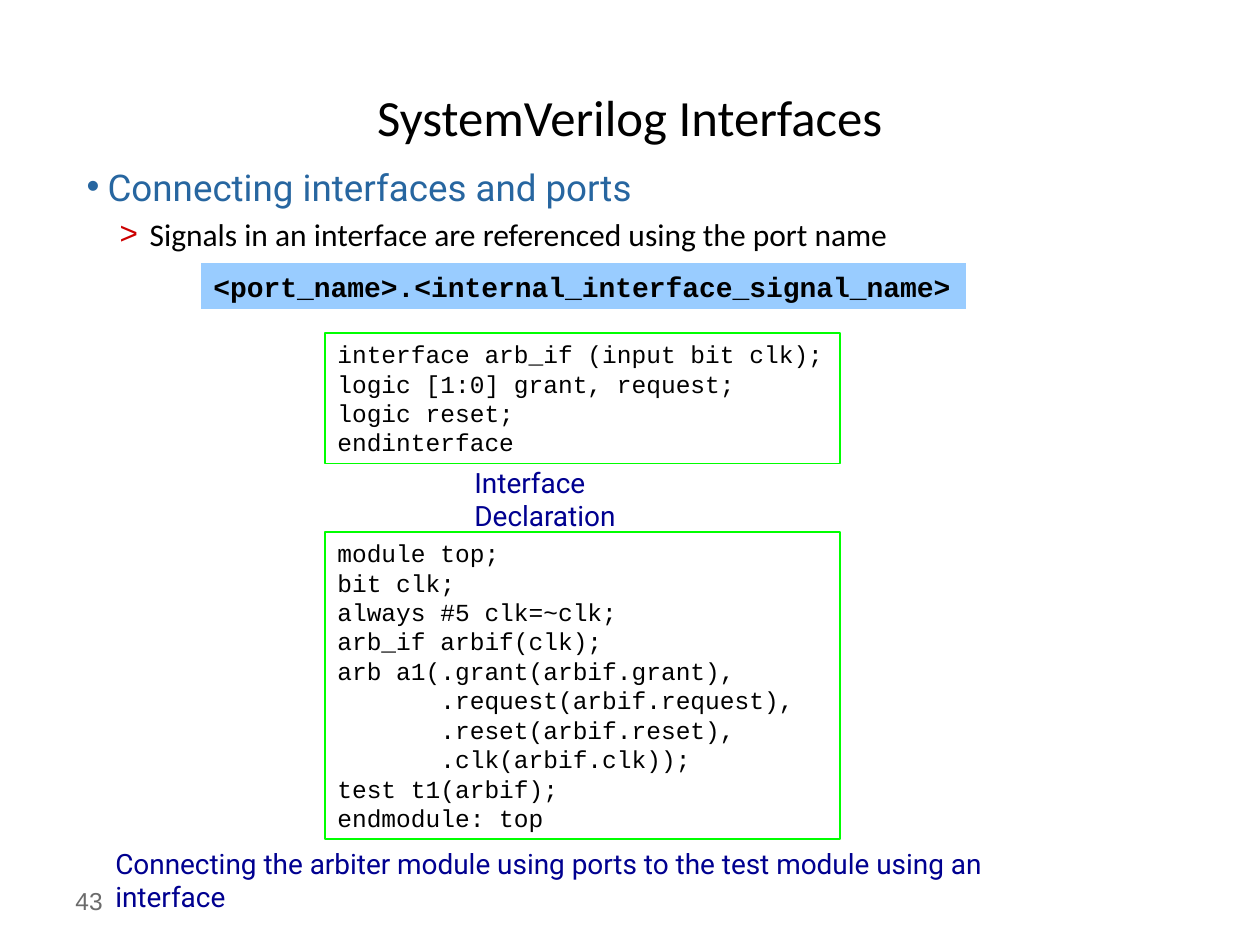
from lxml import etree
from pptx import Presentation
from pptx import util as u
from pptx.dml.color import RGBColor
from pptx.enum import shapes, text
from pptx.oxml.ns import qn

BLACK = RGBColor(0x00, 0x00, 0x00)
GREY = RGBColor(0x6B, 0x6B, 0x6B)
BLUE = RGBColor(0x27, 0x66, 0xA0)
NAVY = RGBColor(0x00, 0x00, 0x90)
RED = RGBColor(0xCC, 0x00, 0x00)
GREEN = RGBColor(0x00, 0xFF, 0x00)
SKY = RGBColor(0x99, 0xCC, 0xFF)

TITLE = "SystemVerilog Interfaces"
TITLE_AT = (63, 38, 1134, 157)
POINTS_AT = (74, 158, 916, 146)
POINTS = [
    dict(words="Connecting interfaces and ports", style="point", level=0,
         mark="•", mark_color=BLUE, margin=21, hang=21, before=0),
    dict(words="Signals in an interface are referenced using the port name",
         style="subpoint", level=1, mark=">", mark_color=RED,
         margin=63, hang=30, before=3.6),
]
DECLARATION = """interface arb_if (input bit clk);
logic [1:0] grant, request;
logic reset;
endinterface"""
TOP_MODULE = """module top;
bit clk;
always #5 clk=~clk;
arb_if arbif(clk);
arb a1(.grant(arbif.grant),
       .request(arbif.request),
       .reset(arbif.reset),
       .clk(arbif.clk));
test t1(arbif);
endmodule: top"""
LISTINGS = [(DECLARATION, 333), (TOP_MODULE, 532)]
LISTING_LEFT, LISTING_WIDTH = 325, 515
LISTING_LINE, LISTING_PAD = 29.4, 13
SYNTAX = ("<port_name>.<internal_interface_signal_name>", (201, 263, 765, 46))
LABELS = [
    ("Interface Declaration", (462, 459, 272, 47), "caption"),
    ("Connecting the arbiter module using ports to the test module using an interface",
     (103, 840, 980, 47), "caption"),
    ("43", (63, 876, 294, 50), "number"),
]
FONTS = {
    "title": dict(name="Calibri", size=u.Pt(29), color=BLACK),
    "point": dict(name="Roboto", size=u.Pt(21), color=BLUE),
    "subpoint": dict(name="Calibri", size=u.Pt(18), color=BLACK),
    "code": dict(name="Courier New", size=u.Pt(14), color=BLACK),
    "syntax": dict(name="Courier New", size=u.Pt(16), bold=True, color=BLACK),
    "caption": dict(name="Roboto", size=u.Pt(16), color=NAVY),
    "number": dict(name="Arial", size=u.Pt(14), color=GREY),
}


def px(length):
    return u.Emu(round(length * 914400 / 126))


def place(part, box):
    for side, length in zip(("left", "top", "width", "height"), box):
        setattr(part, side, px(length))


def style_font(paragraph, style):
    for key, value in FONTS[style].items():
        if key == "color":
            paragraph.font.color.rgb = value
        else:
            setattr(paragraph.font, key, value)


def write(part, words, style, align=text.PP_ALIGN.LEFT,
          anchor=text.MSO_ANCHOR.TOP, wrap=True):
    frame = part.text_frame
    frame.word_wrap = wrap
    frame.auto_size = text.MSO_AUTO_SIZE.NONE
    frame.vertical_anchor = anchor
    frame.text = words
    for paragraph in frame.paragraphs:
        paragraph.alignment = align
        style_font(paragraph, style)


def add_bullet(paragraph, point):
    props = paragraph._p.get_or_add_pPr()
    props.set("marL", str(px(point["margin"])))
    props.set("indent", str(-px(point["hang"])))
    color = etree.SubElement(props, qn("a:buClr"))
    etree.SubElement(color, qn("a:srgbClr"), val=str(point["mark_color"]))
    etree.SubElement(props, qn("a:buFont"), typeface="Arial")
    etree.SubElement(props, qn("a:buChar"), char=point["mark"])


def add_panel(slide, box, fill=None, line=None):
    panel = slide.shapes.add_shape(shapes.MSO_SHAPE.RECTANGLE, *map(px, box))
    panel.shadow.inherit = False
    if fill is None:
        panel.fill.background()
    else:
        panel.fill.solid()
        panel.fill.fore_color.rgb = fill
    if line is None:
        panel.line.fill.background()
    else:
        panel.line.color.rgb = line
        panel.line.width = u.Pt(0.75)
    return panel


def main():
    deck = Presentation()
    deck.slide_width, deck.slide_height = px(1260), px(945)
    slide = deck.slides.add_slide(deck.slide_layouts[1])
    middle = text.MSO_ANCHOR.MIDDLE

    title = slide.shapes.title
    place(title, TITLE_AT)
    write(title, TITLE, "title", text.PP_ALIGN.CENTER, middle)

    points = slide.placeholders[1]
    place(points, POINTS_AT)
    write(points, "\n".join(point["words"] for point in POINTS), "point")
    for paragraph, point in zip(points.text_frame.paragraphs, POINTS):
        paragraph.level = point["level"]
        paragraph.space_before = u.Pt(point["before"])
        add_bullet(paragraph, point)
        style_font(paragraph, point["style"])

    for code, top in LISTINGS:
        height = LISTING_LINE * len(code.splitlines()) + LISTING_PAD
        listing = add_panel(slide, (LISTING_LEFT, top, LISTING_WIDTH, height), line=GREEN)
        write(listing, code, "code")
        for paragraph in listing.text_frame.paragraphs:
            paragraph.line_spacing = u.Pt(16.8)

    syntax, syntax_at = SYNTAX
    write(add_panel(slide, syntax_at, fill=SKY), syntax, "syntax", wrap=False)

    for words, box, style in LABELS:
        label = slide.shapes.add_textbox(*map(px, box))
        anchor = middle if style == "number" else text.MSO_ANCHOR.TOP
        write(label, words, style, anchor=anchor)

    deck.save("out.pptx")


if __name__ == "__main__":
    main()
